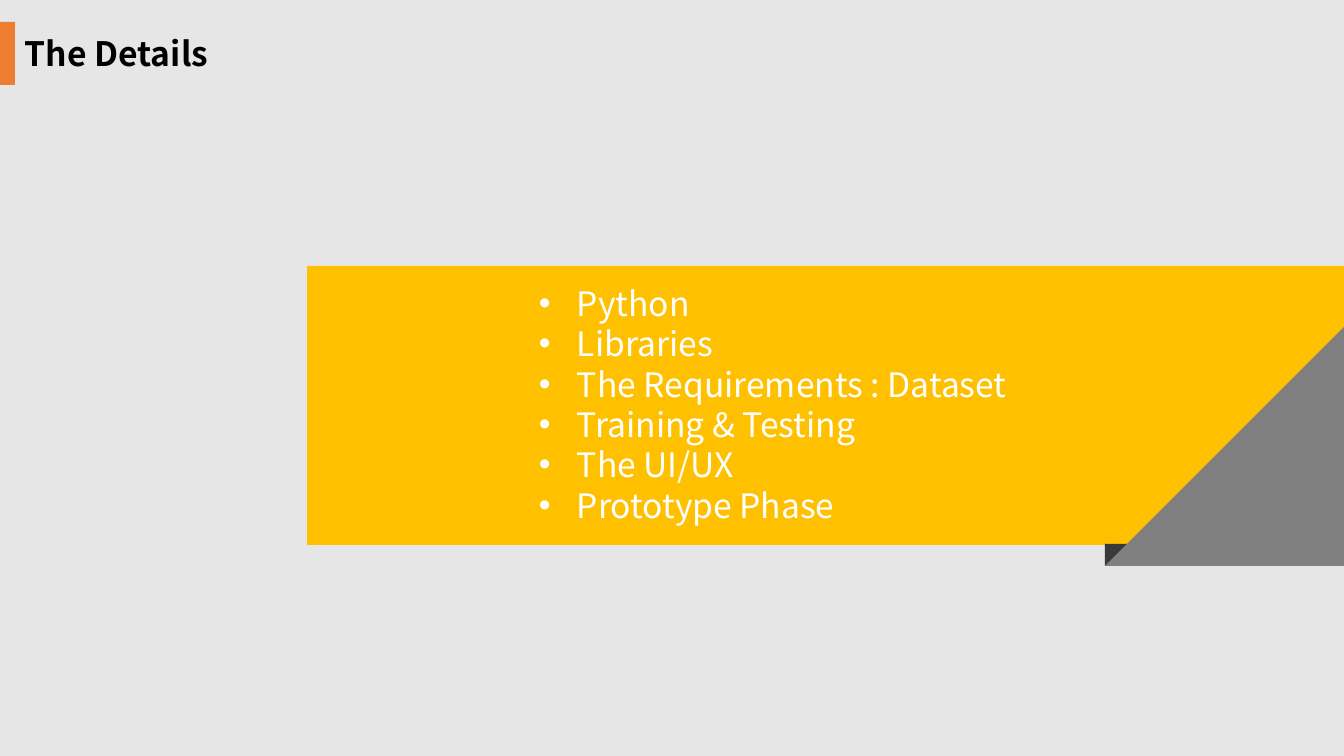
from dataclasses import dataclass

from lxml import etree
from pptx import Presentation
from pptx import util as u
from pptx.dml.color import RGBColor
from pptx.enum import shapes, text
from pptx.oxml.ns import qn


@dataclass(frozen=True)
class Theme:
    font: str = "Noto Sans CJK SC"
    size: int = 24
    leading: float = 28.8
    background: str = "E7E6E6"
    ink: str = "000000"
    light: str = "FFFFFF"
    accent: str = "ED7D31"
    banner: str = "FFC000"
    fold: str = "3A3A3A"
    corner: str = "808080"


def px(length):
    return u.Emu(round(length * 914400 / 100.8))


def format_para(para, content, theme, color, bold=False, bullet=None, indent=0, align=None):
    para.alignment = align
    para.line_spacing = u.Pt(theme.leading)
    span = para.add_run()
    span.text = content
    span.font.name = theme.font
    span.font.size = u.Pt(theme.size)
    span.font.bold = bold
    span.font.color.rgb = RGBColor.from_string(color)
    if bullet:
        properties = para._p.get_or_add_pPr()
        properties.set("marL", str(px(indent)))
        properties.set("indent", str(-px(indent)))
        etree.SubElement(properties, qn("a:buFont"), typeface="Arial")
        etree.SubElement(properties, qn("a:buChar"), char=bullet)


class Slide:
    def __init__(self, deck, theme):
        self.theme = theme
        self.page = deck.slides.add_slide(deck.slide_layouts[6])
        fill = self.page.background.fill
        fill.solid()
        fill.fore_color.rgb = RGBColor.from_string(theme.background)

    def shape(self, left, top, width, height, color,
              kind=shapes.MSO_SHAPE.RECTANGLE, mirrored=False):
        shape = self.page.shapes.add_shape(kind, *map(px, (left, top, width, height)))
        shape.shadow.inherit = False
        shape.fill.solid()
        shape.fill.fore_color.rgb = RGBColor.from_string(color)
        shape.line.fill.background()
        if mirrored:
            shape._element.spPr.find(qn("a:xfrm")).set("flipH", "1")

    def text(self, left, top, width, height, lines, **style):
        box = self.page.shapes.add_textbox(*map(px, (left, top, width, height)))
        frame = box.text_frame
        frame.word_wrap = True
        for index, line in enumerate(lines):
            para = frame.add_paragraph() if index else frame.paragraphs[0]
            format_para(para, line, self.theme, **style)


def main():
    theme = Theme()
    deck = Presentation()
    deck.slide_width, deck.slide_height = px(1344), px(756)
    slide = Slide(deck, theme)

    slide.text(15, 28, 382, 50, ["The Details"], color=theme.ink, bold=True)
    slide.shape(0, 22, 15, 63, theme.accent)

    slide.shape(307, 266, 1037, 279, theme.banner)
    slide.shape(1105, 544, 44, 22, theme.fold)
    slide.shape(1105, 327, 239, 239, theme.corner,
                kind=shapes.MSO_SHAPE.RIGHT_TRIANGLE, mirrored=True)

    topics = ["Python", "Libraries", "The Requirements : Dataset",
              "Training & Testing", "The UI/UX", "Prototype Phase"]
    slide.text(529, 278, 658, 254, topics, color=theme.light, bullet="•",
               indent=38, align=text.PP_ALIGN.JUSTIFY)
    deck.save("out.pptx")


if __name__ == "__main__":
    main()
